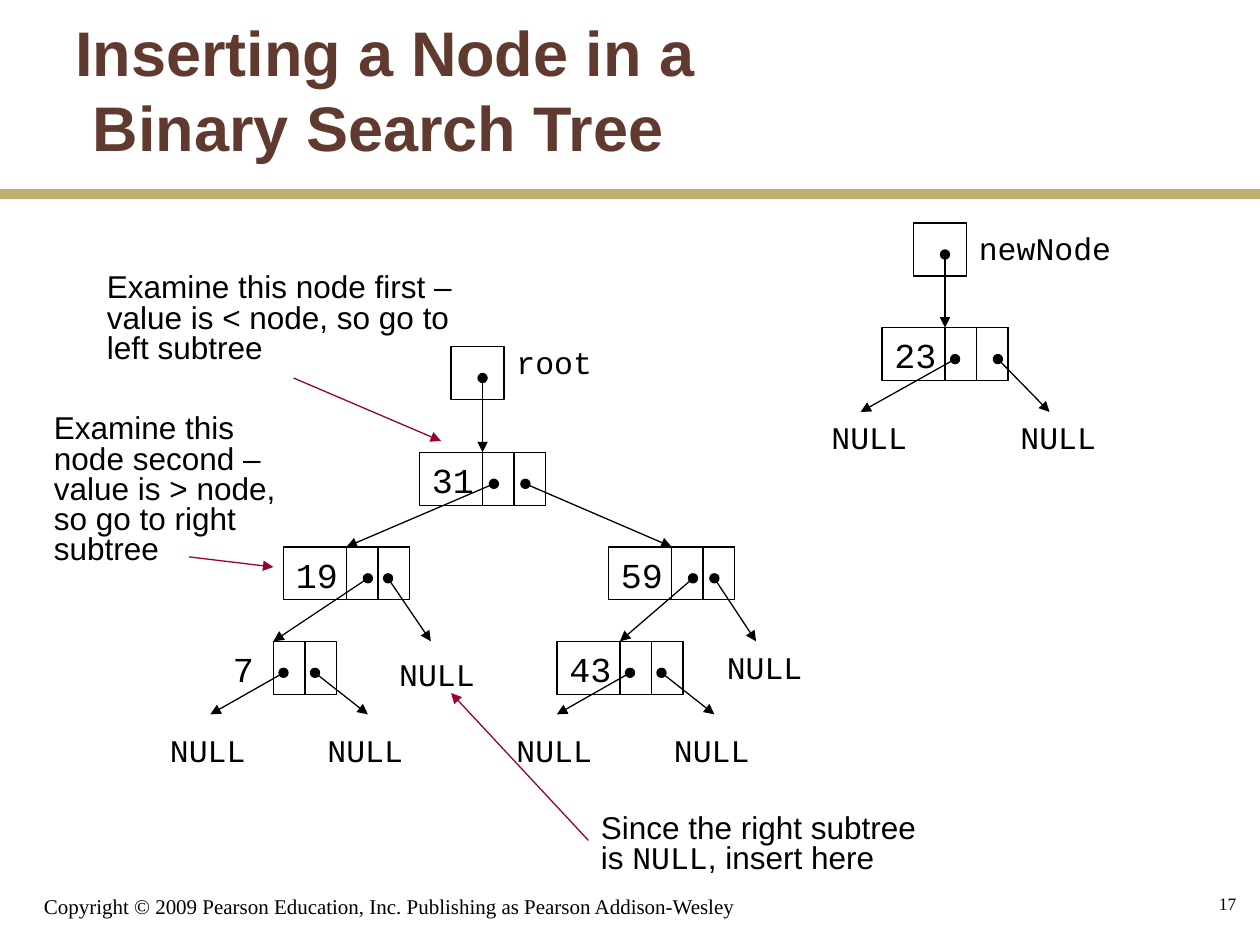
from dataclasses import dataclass
from typing import NamedTuple, Optional

from lxml import etree
from pptx import Presentation
from pptx.dml.color import RGBColor
from pptx.enum.shapes import MSO_CONNECTOR, MSO_SHAPE
from pptx.enum.text import MSO_ANCHOR, MSO_AUTO_SIZE, PP_ALIGN
from pptx.oxml.ns import qn
from pptx.util import Inches, Pt

RECTANGLE = MSO_SHAPE.RECTANGLE
STRAIGHT = MSO_CONNECTOR.STRAIGHT
TOP, MIDDLE, BOTTOM = MSO_ANCHOR.TOP, MSO_ANCHOR.MIDDLE, MSO_ANCHOR.BOTTOM
FIT_TEXT = MSO_AUTO_SIZE.SHAPE_TO_FIT_TEXT
RIGHT = PP_ALIGN.RIGHT

BLACK = RGBColor(0x00, 0x00, 0x00)
BROWN = RGBColor(0x60, 0x3A, 0x2F)
GOLD = RGBColor(0xBF, 0xAF, 0x6F)
CRIMSON = RGBColor(0x99, 0x00, 0x33)

SANS, MONO, SERIF = "Arial", "Courier New", "Times New Roman"
BOX_HEIGHT = 0.42
CELL_WIDTH = 0.25
VALUE_WIDTH = 0.5
DOT_DROP = 0.25  # from the top of a box to its pointer dot
TOP_SIDE = 0


class Point(NamedTuple):
    x: float
    y: float


@dataclass(frozen=True)
class Node:
    value: str
    left: float
    top: float
    dots: tuple[float, float]  # offsets from the left of the node
    targets: tuple[Point, Point]
    children: tuple[str, str] = ("", "")
    value_box: bool = True
    value_offset: float = 0


@dataclass(frozen=True)
class Pointer:
    label: str
    label_at: Point
    label_width: float
    box: Point
    target: str


@dataclass(frozen=True)
class Note:
    runs: tuple[tuple[str, str], ...]
    at: Point
    width: float
    height: float
    arrow_from: Point
    arrow_to: Point


NODES = [
    Node("31", 3.33, 3.59, (0.59, 0.84), (Point(2.75, 4.34), Point(5.33, 4.34)), ("19", "59")),
    Node("19", 2.25, 4.34, (0.67, 0.83), (Point(2.17, 5.09), Point(3.42, 5.09))),
    Node("59", 4.83, 4.34, (0.67, 0.84), (Point(4.92, 5.09), Point(6, 5.09)), ("43", "")),
    Node("7", 1.67, 5.09, (0.58, 0.83), (Point(1.67, 5.67), Point(2.92, 5.67)),
         value_box=False, value_offset=0.08),
    Node("43", 4.42, 5.09, (0.58, 0.83), (Point(4.42, 5.67), Point(5.67, 5.67))),
    Node("23", 7, 2.6, (0.58, 0.92), (Point(6.83, 3.27), Point(8.33, 3.27))),
]
POINTERS = [
    Pointer("root", Point(4, 2.67), 0.8, Point(3.58, 2.75), "31"),
    Pointer("newNode", Point(7.67, 1.77), 1.25, Point(7.25, 1.77), "23"),
]
NULLS = [
    Point(3.07, 5.15), Point(5.67, 5.09),
    Point(1.25, 5.75), Point(2.5, 5.75), Point(4, 5.75), Point(5.25, 5.75),
    Point(6.5, 3.27), Point(8, 3.27),
]
NOTES = [
    Note((("Examine this node first – value is < node, so go to left subtree", SANS),),
         Point(0.75, 2.13), 3.08, 0.82, Point(2.33, 3), Point(3.5, 3.5)),
    Note((("Examine this node second – value is > node, so go to right subtree", SANS),),
         Point(0.33, 3.25), 2.25, 1.3, Point(1.5, 4.42), Point(2.17, 4.5)),
    Note((("Since the right subtree is ", SANS), ("NULL", MONO), (", insert here", SANS)),
         Point(4.67, 6.42), 2.93, 0.58, Point(4.67, 6.67), Point(3.58, 5.5)),
]


def add_text(slide, runs, at: Point, width: float, height: float, size: float,
             color: RGBColor = BLACK, bold: bool = False, wrap: bool = True,
             anchor=TOP, fit: bool = False):
    """Add a one-paragraph text box from (text, font) runs and return the paragraph."""
    box = slide.shapes.add_textbox(Inches(at.x), Inches(at.y), Inches(width), Inches(height))
    frame = box.text_frame
    frame.word_wrap = wrap
    frame.vertical_anchor = anchor
    if fit:
        frame.auto_size = FIT_TEXT
    paragraph = frame.paragraphs[0]
    if len(runs) == 1:
        paragraph.text = runs[0][0]
    else:
        for text, _ in runs:
            paragraph.add_run().text = text
    for index, run in enumerate(paragraph.runs):
        run.font.name = runs[min(index, len(runs) - 1)][1]
        run.font.size = Pt(size)
        run.font.bold = bold
        run.font.color.rgb = color
    return paragraph


def add_label(slide, text: str, at: Point, width: float, height: float = 0.4,
              size: float = 18) -> None:
    add_text(slide, [(text, MONO)], at, width, height, size, wrap=False, fit=True)


def add_box(slide, left: float, top: float, width: float):
    box = slide.shapes.add_shape(RECTANGLE, Inches(left), Inches(top),
                                 Inches(width), Inches(BOX_HEIGHT))
    box.shadow.inherit = False
    box.fill.background()
    box.line.color.rgb = BLACK
    box.line.width = Pt(0.75)
    return box


def add_arrow(slide, start: Point, end: Point, color: RGBColor = BLACK,
              dot: bool = True, target: Optional[object] = None) -> None:
    arrow = slide.shapes.add_connector(STRAIGHT, Inches(start.x), Inches(start.y),
                                       Inches(end.x), Inches(end.y))
    if target is not None:
        arrow.end_connect(target, TOP_SIDE)
    arrow.line.color.rgb = color
    arrow.line.width = Pt(0.75)
    line = arrow.line._get_or_add_ln()
    if dot:
        etree.SubElement(line, qn("a:headEnd"), type="oval")
    etree.SubElement(line, qn("a:tailEnd"), type="triangle")
    etree.SubElement(arrow._element.spPr, qn("a:effectLst"))


def add_node(slide, node: Node):
    """Draw the cells and value; return the outer box, if the node has one."""
    outer = None
    if node.value_box:
        outer = add_box(slide, node.left, node.top, VALUE_WIDTH + 2 * CELL_WIDTH)
    for cell in range(2):
        add_box(slide, node.left + VALUE_WIDTH + cell * CELL_WIDTH, node.top, CELL_WIDTH)
    add_label(slide, node.value, Point(node.left + node.value_offset, node.top),
              0.2 + 0.17 * len(node.value), 0.44, 20)
    return outer


def main() -> None:
    deck = Presentation()
    deck.slide_width, deck.slide_height = Inches(10), Inches(7.5)
    slide = deck.slides.add_slide(deck.slide_layouts[6])

    # Title and rule
    add_text(slide, [("Inserting a Node in a\v Binary Search Tree", SANS)],
             Point(0.5, 0.08), 8.33, 1.25, 36, BROWN, bold=True, anchor=MIDDLE)
    rule = slide.shapes.add_shape(RECTANGLE, 0, Inches(1.5), Inches(10), Inches(0.08))
    rule.shadow.inherit = False
    rule.fill.solid()
    rule.fill.fore_color.rgb = GOLD
    rule.line.fill.background()

    # Tree nodes, then the links between them
    boxes = {node.value: add_node(slide, node) for node in NODES}
    for node in NODES:
        for dot, target, child in zip(node.dots, node.targets, node.children):
            add_arrow(slide, Point(node.left + dot, node.top + DOT_DROP), target,
                      target=boxes.get(child))

    # Named pointers
    for pointer in POINTERS:
        add_box(slide, pointer.box.x, pointer.box.y, BOX_HEIGHT)
        add_label(slide, pointer.label, pointer.label_at, pointer.label_width)
        start = Point(pointer.box.x + DOT_DROP, pointer.box.y + DOT_DROP)
        add_arrow(slide, start, start, target=boxes[pointer.target])

    for null_at in NULLS:
        add_label(slide, "NULL", null_at, 0.8)

    # Explanations with their arrows
    for note in NOTES:
        explanation = add_text(slide, note.runs, note.at, note.width, note.height, 18, fit=True)
        explanation.line_spacing = 0.8
        add_arrow(slide, note.arrow_from, note.arrow_to, CRIMSON, dot=False)

    # Footer
    add_text(slide, [("Copyright © 2009 Pearson Education, Inc. Publishing as "
                      "Pearson Addison-Wesley", SERIF)],
             Point(0.25, 6.92), 6.08, 0.42, 12, anchor=BOTTOM)
    page_number = add_text(slide, [("17", SERIF)], Point(7.83, 6.92), 2.08, 0.5, 10,
                           anchor=MIDDLE)
    page_number.alignment = RIGHT

    deck.save("out.pptx")


if __name__ == "__main__":
    main()
